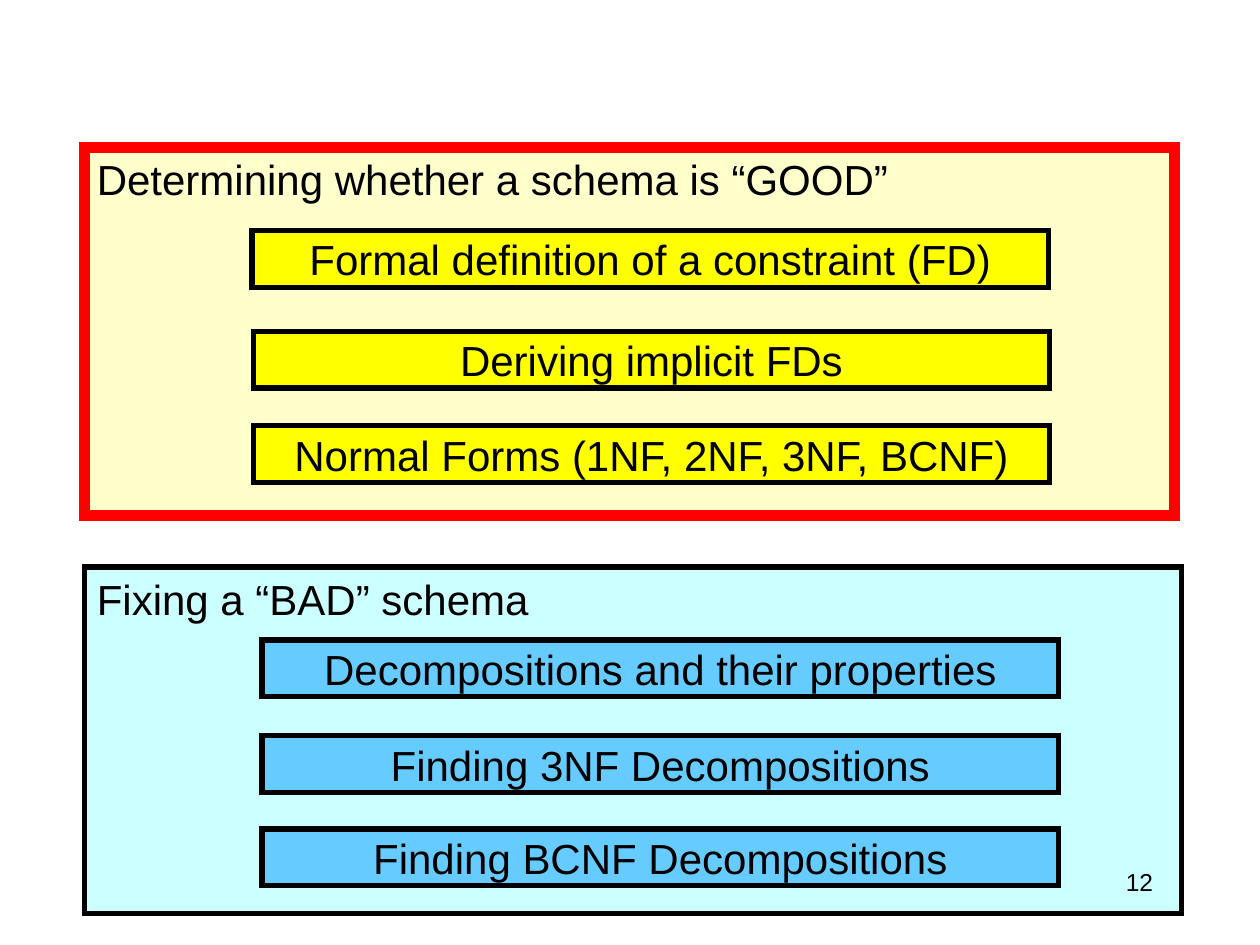
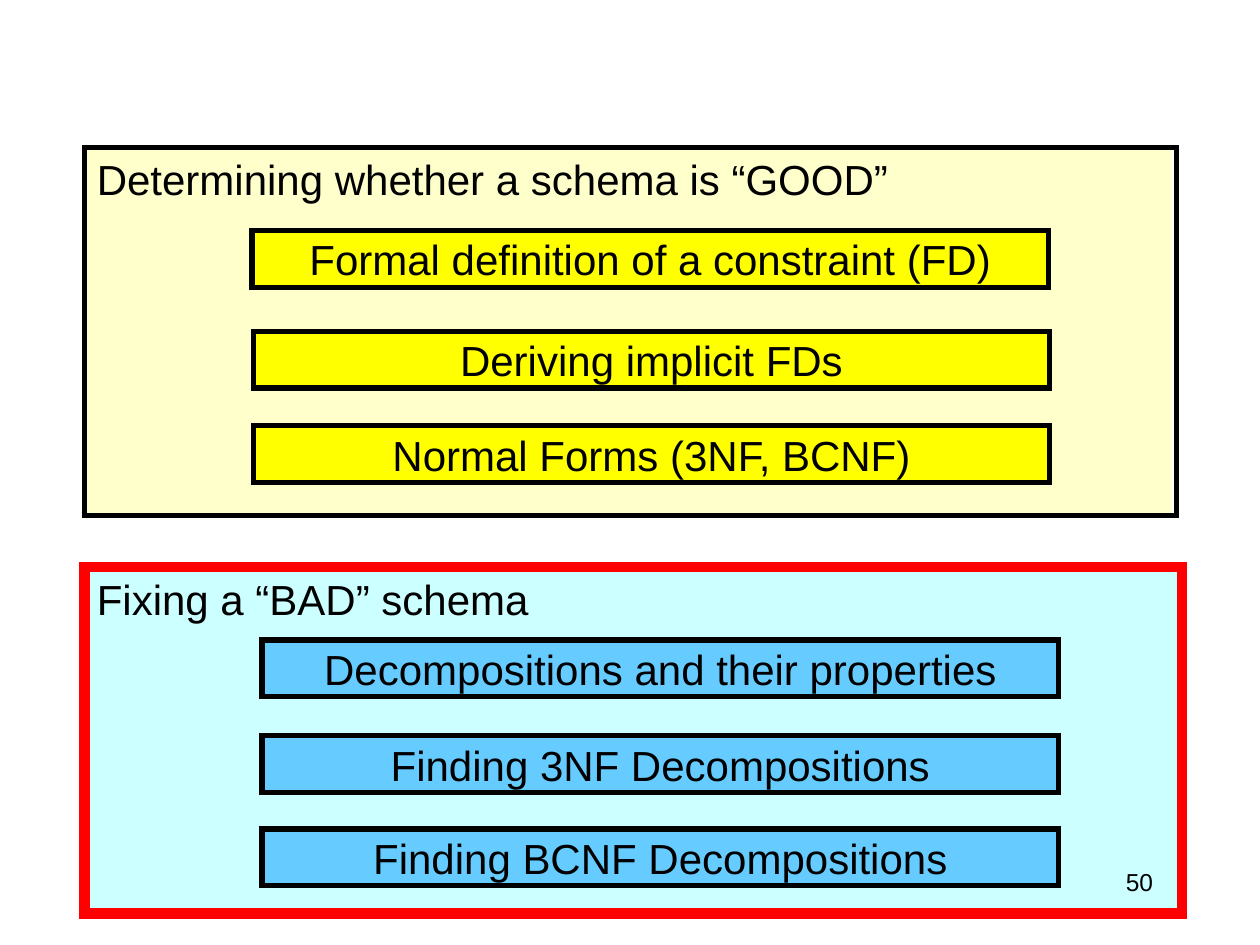
from lxml import etree
from pptx import Presentation
from pptx.dml.color import RGBColor
from pptx.enum.shapes import MSO_SHAPE
from pptx.enum.text import MSO_ANCHOR, PP_ALIGN
from pptx.oxml.ns import qn
from pptx.util import Inches, Pt

RECT = MSO_SHAPE.RECTANGLE
TOP, MIDDLE = MSO_ANCHOR.TOP, MSO_ANCHOR.MIDDLE
LEFT, CENTER, RIGHT = PP_ALIGN.LEFT, PP_ALIGN.CENTER, PP_ALIGN.RIGHT
BLANK_LAYOUT = 6

COLORS = {
    "black": "000000", "red": "FF0000",
    "cream": "FFFFCC", "yellow": "FFFF00",
    "pale_cyan": "CCFFFF", "sky": "66CCFF",
}
THIN, THICK = ("black", 3), ("red", 6)

# Panel and topic geometry in inches
GOOD_PANEL = (0.67, 1.17, 8.63, 2.92)
BAD_PANEL = (0.67, 4.5, 8.71, 2.75)
NUMBER_BOX = (7.17, 6.83, 2.08, 0.5)
TOPIC_SIZE = (6.32, 0.45)
GOOD_SPOTS = [(2, 1.83), (2.01, 2.63), (2.01, 3.38)]
BAD_SPOTS = [(2.08, 5.08), (2.08, 5.84), (2.08, 6.58)]

GOOD_TOPICS = ["Formal definition of a constraint (FD)", "Deriving implicit FDs"]
BAD_TOPICS = ["Decompositions and their properties",
              "Finding 3NF Decompositions", "Finding BCNF Decompositions"]


class Deck:
    """Holds the presentation, its text style and the current slide."""

    font = {"name": "Arial", "bold": False}

    def __init__(self):
        self.prs = Presentation()
        self.prs.slide_width, self.prs.slide_height = Inches(10), Inches(7.5)

    def new_slide(self):
        layout = self.prs.slide_layouts[BLANK_LAYOUT]
        self.s = self.prs.slides.add_slide(layout)

    def color(self, name):
        return RGBColor.from_string(COLORS[name])

    def set_text(self, sp, text, size=24, align=LEFT, anchor=TOP, wrap=True):
        tf = sp.text_frame
        tf.word_wrap, tf.vertical_anchor = wrap, anchor
        p = tf.paragraphs[0]
        p.alignment = align
        r = p.add_run()
        r.text = text
        for key, value in {**self.font, "size": Pt(size)}.items():
            setattr(r.font, key, value)
        r.font.color.rgb = self.color("black")

    def box(self, at, fill=None, line=None):
        sp = self.s.shapes.add_shape(RECT, *map(Inches, at))
        sp.shadow.inherit = False
        if fill:
            sp.fill.solid()
            sp.fill.fore_color.rgb = self.color(fill)
        else:
            sp.fill.background()
        if line:
            name, width = line
            sp.line.color.rgb = self.color(name)
            sp.line.width = Pt(width)
            # Square corners
            ln = sp.element.spPr.find(qn("a:ln"))
            etree.SubElement(ln, qn("a:miter"), lim="800000")
        else:
            sp.line.fill.background()
        return sp

    def panel(self, at, heading, fill, line):
        self.set_text(self.box(at, fill, line), heading)

    def topics(self, texts, spots, fill):
        for text, spot in zip(texts, spots):
            sp = self.box(spot + TOPIC_SIZE, fill, THIN)
            self.set_text(sp, text, align=CENTER, anchor=MIDDLE, wrap=False)

    def number(self, text):
        sp = self.s.shapes.add_textbox(*map(Inches, NUMBER_BOX))
        self.set_text(sp, text, size=14, align=RIGHT)

    def outline(self, number, normal_forms, good_line, bad_line, frame_width, frame_line):
        """One roadmap slide; its line styles show which half is current."""
        self.new_slide()
        self.panel(GOOD_PANEL, "Determining whether a schema is “GOOD”", "cream", good_line)
        self.panel(BAD_PANEL, "Fixing a “BAD” schema", "pale_cyan", bad_line)
        self.topics(GOOD_TOPICS + [normal_forms], GOOD_SPOTS, "yellow")
        self.topics(BAD_TOPICS, BAD_SPOTS, "sky")
        # Frame around the upper panel
        left, top, _, height = GOOD_PANEL
        self.box((left, top, frame_width, height), line=frame_line)
        self.number(number)


def main():
    deck = Deck()
    # Upper half is current
    deck.outline("12", "Normal Forms (1NF, 2NF, 3NF, BCNF)",
                 good_line=("red", 3), bad_line=THIN, frame_width=8.65, frame_line=THICK)
    # Lower half is current
    deck.outline("50", "Normal Forms (3NF, BCNF)",
                 good_line=None, bad_line=THICK, frame_width=8.67, frame_line=THIN)
    deck.prs.save("out.pptx")


if __name__ == "__main__":
    main()
